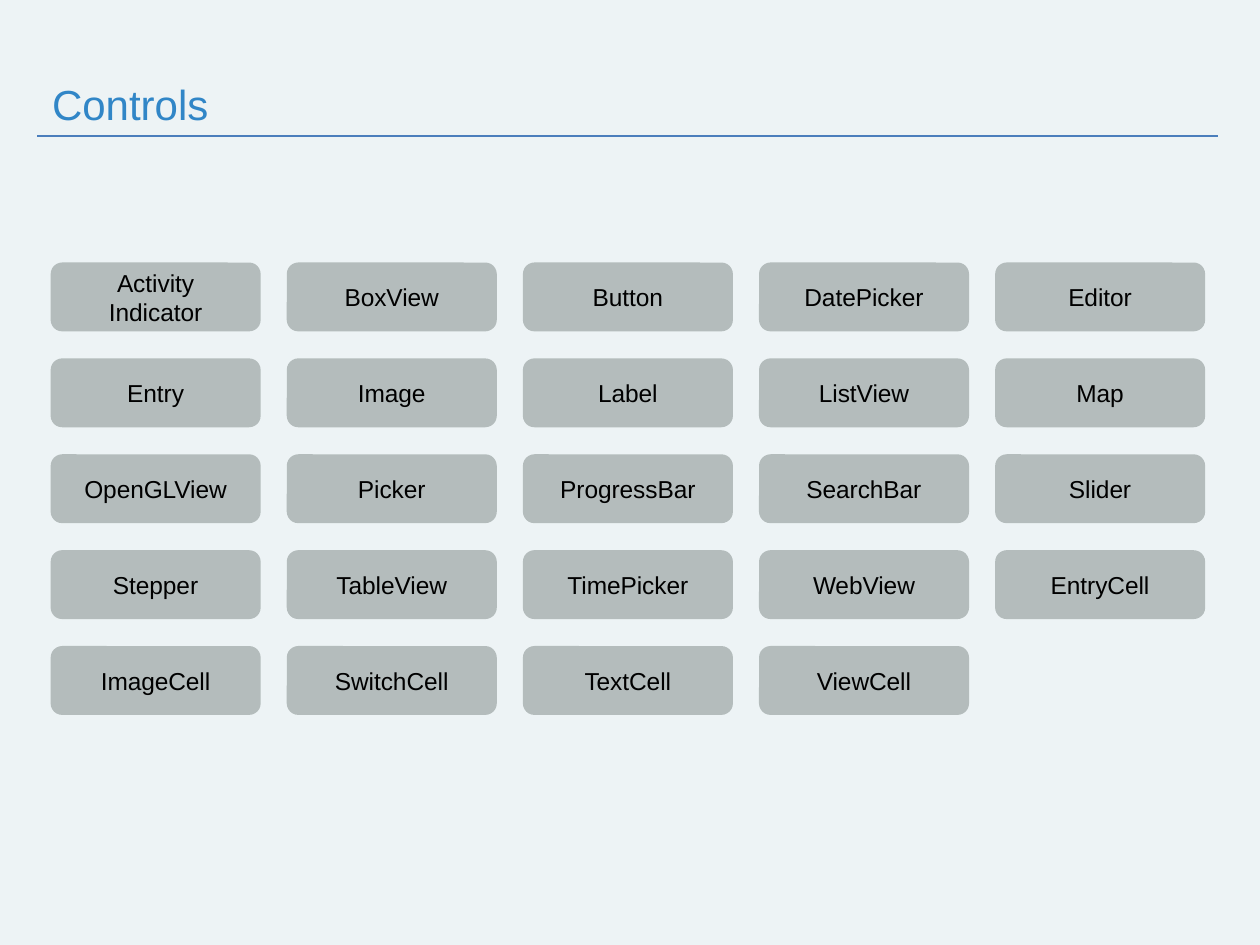
from dataclasses import dataclass

from lxml import etree
from pptx import Presentation
from pptx.dml.color import RGBColor
from pptx.enum import shapes, text
from pptx.oxml.ns import qn
from pptx.util import Pt


@dataclass(frozen=True)
class Theme:
    """Colours, font and type sizes."""
    back: str = "EDF3F5"
    rule: str = "4B7EBC"
    title: str = "3186C7"
    tile: str = "B4BCBC"
    ink: str = "000000"
    font: str = "Arial"
    head: float = 18
    body: float = 10.5


class Deck:
    """Holds the theme and the current slide."""

    def __init__(self, theme, wide, high):
        """Open a deck of the given size in points."""
        self.theme = theme
        self.prs = Presentation()
        self.prs.slide_width, self.prs.slide_height = Pt(wide), Pt(high)
        self.slide = None

    def page(self):
        """Add a title-only slide with a plain background."""
        self.slide = self.prs.slides.add_slide(self.prs.slide_layouts[5])
        self.paint(self.slide.background.fill, self.theme.back)

    def paint(self, fill, tint):
        """Give a fill one solid colour."""
        fill.solid()
        fill.fore_color.rgb = RGBColor.from_string(tint)

    def label(self, frame, lines, size, tint, align):
        """Add one paragraph per line."""
        for num, line in enumerate(lines):
            para = frame.add_paragraph() if num else frame.paragraphs[0]
            para.alignment = align
            run = para.add_run()
            run.text = line
            run.font.name, run.font.size = self.theme.font, Pt(size)
            run.font.color.rgb = RGBColor.from_string(tint)

    def title(self, words, left, top, wide, high):
        """Place and fill the title placeholder."""
        box = self.slide.shapes.title
        box.left, box.top = Pt(left), Pt(top)
        box.width, box.height = Pt(wide), Pt(high)
        frame = box.text_frame
        frame.word_wrap = True
        frame.auto_size = text.MSO_AUTO_SIZE.NONE
        frame.vertical_anchor = text.MSO_ANCHOR.BOTTOM
        self.label(frame, [words], self.theme.head, self.theme.title,
                   text.PP_ALIGN.LEFT)

    def rule(self, left, right, top):
        """Draw a thin level line."""
        line = self.slide.shapes.add_connector(
            shapes.MSO_CONNECTOR.STRAIGHT, Pt(left), Pt(top), Pt(right), Pt(top))
        line.line.width = Pt(0.75)
        line.line.color.rgb = RGBColor.from_string(self.theme.rule)
        etree.SubElement(line.element.spPr, qn("a:effectLst"))

    def tile(self, lines, left, top, wide, high):
        """Draw a rounded tile with centred text."""
        box = self.slide.shapes.add_shape(
            shapes.MSO_SHAPE.ROUNDED_RECTANGLE,
            Pt(left), Pt(top), Pt(wide), Pt(high))
        box.shadow.inherit = False
        self.paint(box.fill, self.theme.tile)
        box.line.fill.background()
        frame = box.text_frame
        frame.word_wrap = True
        frame.margin_top = frame.margin_bottom = 0
        frame.vertical_anchor = text.MSO_ANCHOR.MIDDLE
        self.label(frame, lines, self.theme.body, self.theme.ink,
                   text.PP_ALIGN.CENTER)

    def grid(self, rows, left, top, step, drop, wide, high):
        """Lay out rows of tiles at equal steps."""
        for row, names in enumerate(rows):
            for col, name in enumerate(names):
                self.tile(name.split("\n"), left + col * step,
                          top + row * drop, wide, high)


ROWS = [
    ["Activity\nIndicator", "BoxView", "Button", "DatePicker", "Editor"],
    ["Entry", "Image", "Label", "ListView", "Map"],
    ["OpenGLView", "Picker", "ProgressBar", "SearchBar", "Slider"],
    ["Stepper", "TableView", "TimePicker", "WebView", "EntryCell"],
    ["ImageCell", "SwitchCell", "TextCell", "ViewCell"],
]


def main():
    """Build and save the slide."""
    deck = Deck(Theme(), 540, 405)
    deck.page()
    deck.rule(15.9, 522, 58.4)
    deck.grid(ROWS, left=21.7, top=112.5, step=101.2, drop=41.1,
              wide=90, high=29.5)
    deck.title("Controls", 15.1, 12.2, 416, 46.8)
    deck.prs.save("out.pptx")


if __name__ == "__main__":
    main()
